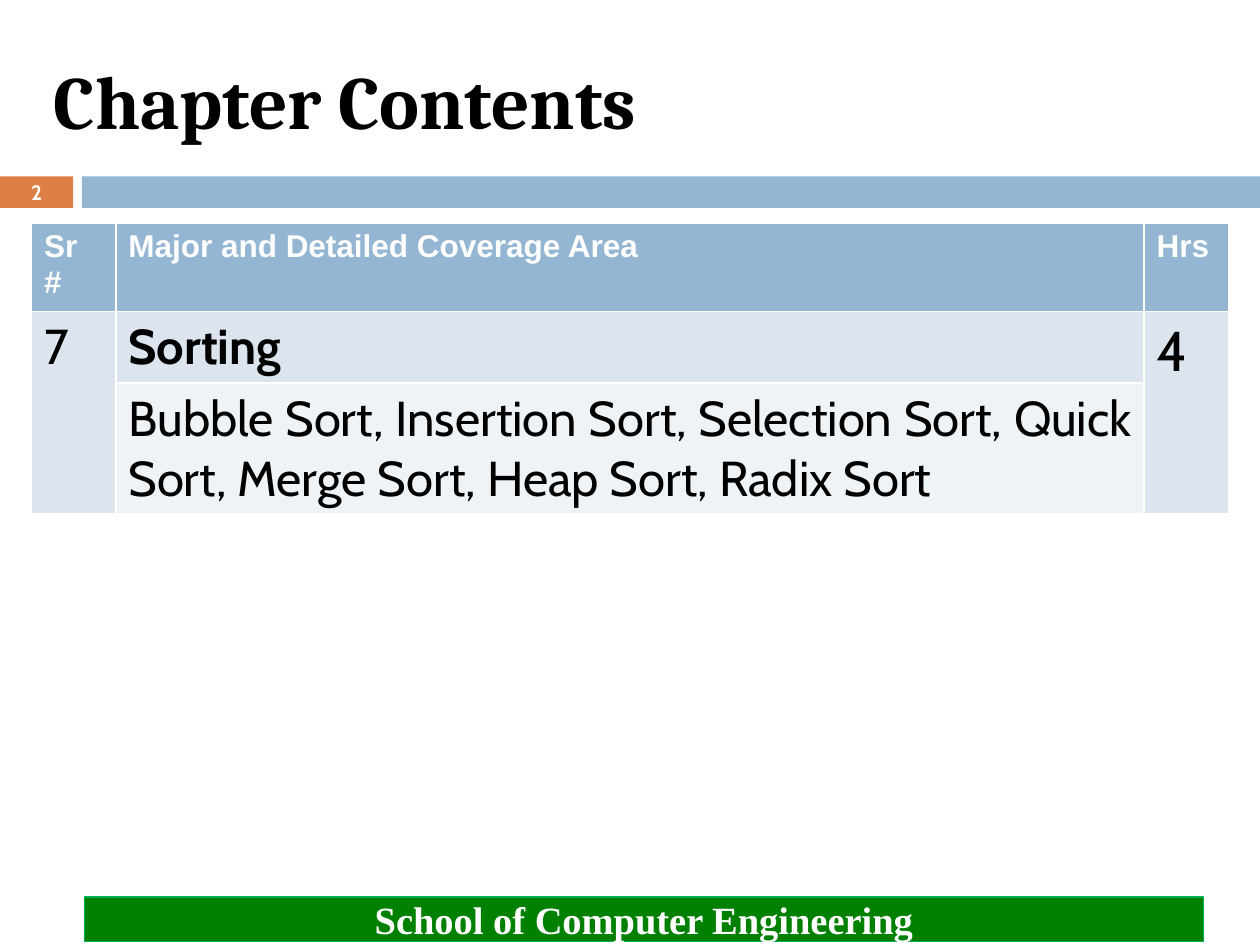
from pptx import Presentation
from pptx.dml.color import RGBColor
from pptx.enum.shapes import MSO_SHAPE
from pptx.enum.text import MSO_ANCHOR, PP_ALIGN
from pptx.util import Inches, Pt

RECT = MSO_SHAPE.RECTANGLE
MIDDLE = MSO_ANCHOR.MIDDLE
LEFT, CENTER, JUSTIFY = PP_ALIGN.LEFT, PP_ALIGN.CENTER, PP_ALIGN.JUSTIFY

COLORS = {
    "black": "000000", "white": "FFFFFF", "orange": "DD8047", "blue": "94B6D2",
    "green": "008000", "green_line": "00B050", "band": "DCE5EE", "pale": "EEF3F7",
}

TITLE = "Chapter Contents"
FOOTER = "School of Computer Engineering"
PAGE_NUMBER = "2"

COLUMN_WIDTHS = [0.67, 8.16, 0.67]
ROW_HEIGHTS = [0.65, 0.57, 1.04]
HEADERS = ["Sr #", "Major and Detailed Coverage Area", "Hrs"]
TOPICS = ("Bubble Sort, Insertion Sort, Selection Sort, Quick Sort, "
          "Merge Sort, Heap Sort, Radix Sort")
# row, column, text, size, bold, fill, alignment
BODY_CELLS = [
    (1, 0, "7", 28, False, "band", LEFT),
    (1, 1, "Sorting", 28, True, "band", LEFT),
    (1, 2, "4", 32, False, "band", LEFT),
    (2, 1, TOPICS, 28, False, "pale", JUSTIFY),
]


def rgb(name):
    return RGBColor.from_string(COLORS[name])


def write(tf, text, font, size, color, bold=True, align=LEFT):
    p = tf.paragraphs[0]
    p.text = text
    p.alignment = align
    p.font.name = font
    p.font.size = Pt(size)
    p.font.bold = bold
    p.font.color.rgb = rgb(color)


def add_bar(slide, box, fill, line=None):
    sp = slide.shapes.add_shape(RECT, *map(Inches, box))
    sp.shadow.inherit = False
    sp.fill.solid()
    sp.fill.fore_color.rgb = rgb(fill)
    if line:
        sp.line.color.rgb = rgb(line)
        sp.line.width = Pt(0.75)
    else:
        sp.line.fill.background()
    sp.text_frame.vertical_anchor = MIDDLE
    return sp


def add_label(slide, box, *args, **kwargs):
    tf = slide.shapes.add_textbox(*map(Inches, box)).text_frame
    tf.word_wrap = True
    tf.vertical_anchor = MIDDLE
    write(tf, *args, **kwargs)


def fill_cell(cell, fill, *args, **kwargs):
    cell.fill.solid()
    cell.fill.fore_color.rgb = rgb(fill)
    write(cell.text_frame, *args, **kwargs)


def add_contents_table(slide):
    table = slide.shapes.add_table(
        len(ROW_HEIGHTS), len(COLUMN_WIDTHS), Inches(0.25), Inches(1.77),
        Inches(sum(COLUMN_WIDTHS)), Inches(sum(ROW_HEIGHTS))).table
    for column, width in zip(table.columns, COLUMN_WIDTHS):
        column.width = Inches(width)
    for row, height in zip(table.rows, ROW_HEIGHTS):
        row.height = Inches(height)
    for col in (0, 2):
        table.cell(1, col).merge(table.cell(2, col))
    for col, text in enumerate(HEADERS):
        fill_cell(table.cell(0, col), "blue", text, "Arial", 18, "white")
    for row, col, text, size, bold, fill, align in BODY_CELLS:
        fill_cell(table.cell(row, col), fill, text, "Cabin", size, "black",
                  bold=bold, align=align)


def main():
    prs = Presentation()
    prs.slide_width, prs.slide_height = Inches(10), Inches(7.5)
    slide = prs.slides.add_slide(prs.slide_layouts[6])

    add_bar(slide, (0, 1.4, 0.58, 0.25), "orange")
    add_bar(slide, (0.65, 1.4, 9.35, 0.25), "blue")
    add_label(slide, (0.33, 0.25, 8.92, 1.08), TITLE, "Cambria", 43, "black")
    footer = add_bar(slide, (0.67, 7.12, 8.88, 0.35), "green", "green_line")
    write(footer.text_frame, FOOTER, "Times New Roman", 22, "white", align=CENTER)
    add_contents_table(slide)
    add_label(slide, (0, 1.39, 0.58, 0.27), PAGE_NUMBER, "Cabin", 11.9, "white",
              align=CENTER)
    prs.save("out.pptx")


if __name__ == "__main__":
    main()
